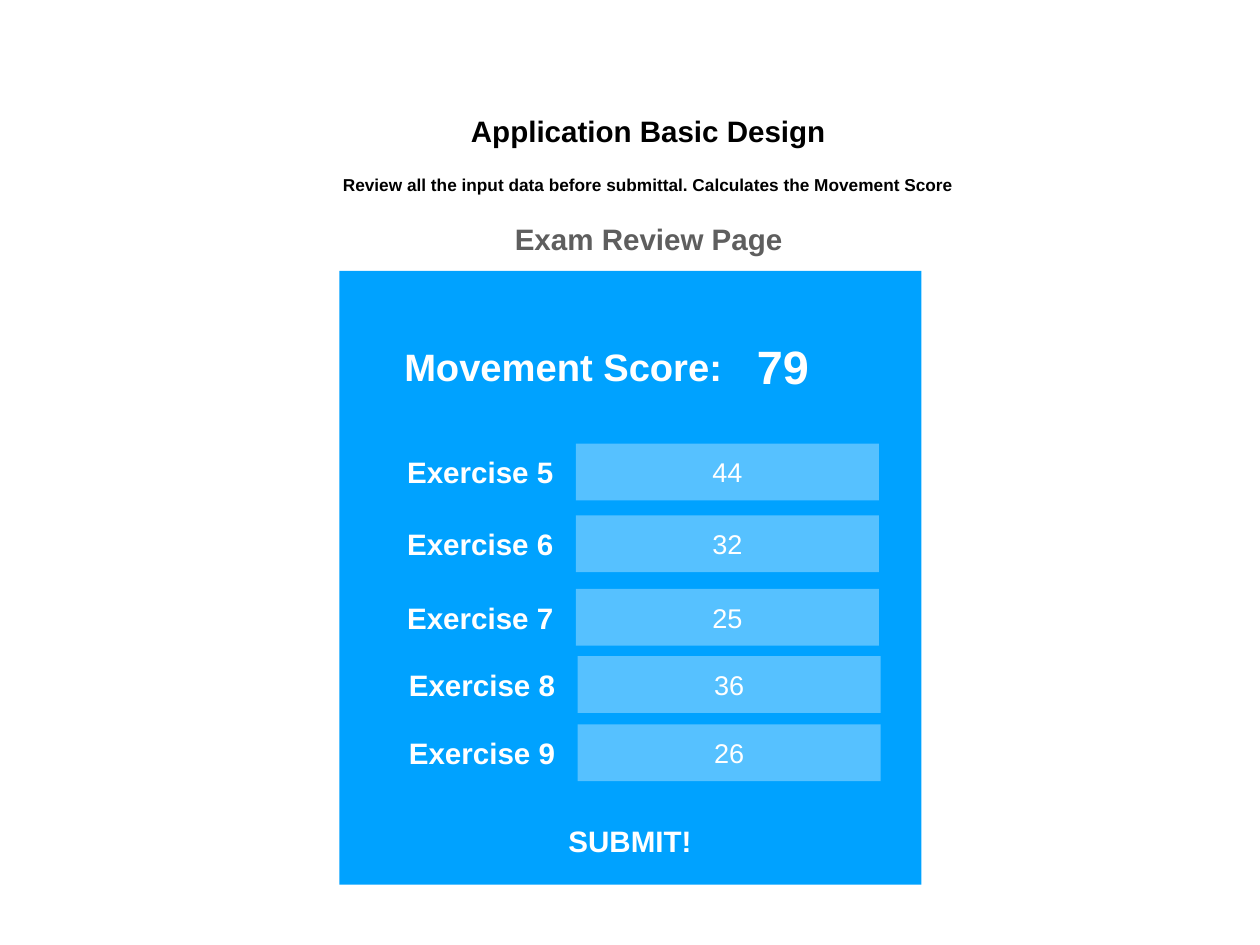
from collections import namedtuple

from pptx import Presentation
from pptx.dml.color import RGBColor
from pptx.enum.shapes import MSO_SHAPE
from pptx.enum.text import MSO_ANCHOR, MSO_AUTO_SIZE, PP_ALIGN
from pptx.util import Inches, Pt

RECTANGLE = MSO_SHAPE.RECTANGLE
MIDDLE = MSO_ANCHOR.MIDDLE
NO_FIT = MSO_AUTO_SIZE.NONE
CENTER = PP_ALIGN.CENTER

SLIDE_WIDTH, SLIDE_HEIGHT = 14.22, 10.67
TITLE_ONLY_LAYOUT = 5
FONT = "Arial"
INSET = 0.06
BLACK, GRAY, WHITE = "000000", "5E5E5E", "FFFFFF"
BLUE, LIGHT_BLUE = "00A2FF", "56C1FF"

LABEL_HEIGHT = 0.5
FIELD_HEIGHT = 0.64

# Name, score, and the left and top of the field inside the panel
EXERCISES = [
    ("Exercise 5", "44", 2.67, 1.95),
    ("Exercise 6", "32", 2.67, 2.76),
    ("Exercise 7", "25", 2.67, 3.59),
    ("Exercise 8", "36", 2.69, 4.35),
    ("Exercise 9", "26", 2.69, 5.12),
]

Box = namedtuple("Box", "left top width height")


def inside(box, left, top, width, height):
    """Return a box whose left and top are measured from another box."""
    return Box(box.left + left, box.top + top, width, height)


def lengths(box):
    return [Inches(value) for value in box]


def color(hex_value):
    return RGBColor.from_string(hex_value)


def write(shape, text, size, hex_value, bold=True, wrap=False):
    frame = shape.text_frame
    frame.auto_size = NO_FIT
    frame.word_wrap = wrap
    frame.vertical_anchor = MIDDLE
    frame.margin_left = frame.margin_right = Inches(INSET)
    frame.margin_top = frame.margin_bottom = Inches(INSET)
    para = frame.paragraphs[0]
    para.alignment = CENTER
    span = para.add_run()
    span.text = text
    span.font.name = FONT
    span.font.size = Pt(size)
    span.font.bold = bold
    span.font.color.rgb = color(hex_value)


def add_label(page, box, text, size=24, hex_value=WHITE):
    write(page.shapes.add_textbox(*lengths(box)), text, size, hex_value)


def add_rectangle(page, box, fill):
    shape = page.shapes.add_shape(RECTANGLE, *lengths(box))
    shape.shadow.inherit = False
    shape.fill.solid()
    shape.fill.fore_color.rgb = color(fill)
    shape.line.fill.background()
    return shape


def add_heading(page, box):
    title = page.shapes.title
    title.left, title.top, title.width, title.height = lengths(
        inside(box, 0.23, 0, 6.57, LABEL_HEIGHT))
    write(title, "Application Basic Design", 24, BLACK, wrap=True)
    add_label(page, inside(box, 0, 0.68, 7.03, 0.34),
              "Review all the input data before submittal. "
              "Calculates the Movement Score", 14, BLACK)
    add_label(page, inside(box, 1.94, 1.22, 3.16, LABEL_HEIGHT),
              "Exam Review Page", 24, GRAY)


def add_exercise(page, box, name, score):
    """Put the score in the box and its name to the left."""
    label_top = (box.height - LABEL_HEIGHT) / 2
    add_label(page, inside(box, -1.96, label_top, 1.76, LABEL_HEIGHT), name)
    field = add_rectangle(page, box, LIGHT_BLUE)
    write(field, score, 22, WHITE, bold=False, wrap=True)


def add_review_panel(page, box):
    add_rectangle(page, box, BLUE)
    add_label(page, inside(box, 0.66, 0.76, 3.73, 0.63), "Movement Score:", 31)
    add_label(page, inside(box, 4.65, 0.71, 0.71, 0.73), "79", 38)
    for name, score, left, top in EXERCISES:
        field_box = inside(box, left, top, 3.42, FIELD_HEIGHT)
        add_exercise(page, field_box, name, score)
    add_label(page, inside(box, 2.52, 6.18, 1.52, LABEL_HEIGHT), "SUBMIT!")


def main():
    deck = Presentation()
    deck.slide_width = Inches(SLIDE_WIDTH)
    deck.slide_height = Inches(SLIDE_HEIGHT)
    page = deck.slides.add_slide(deck.slide_layouts[TITLE_ONLY_LAYOUT])
    add_heading(page, Box(3.8, 1.23, 7.03, 1.72))
    add_review_panel(page, Box(3.83, 3.06, 6.57, 6.93))
    deck.save("out.pptx")


if __name__ == "__main__":
    main()
